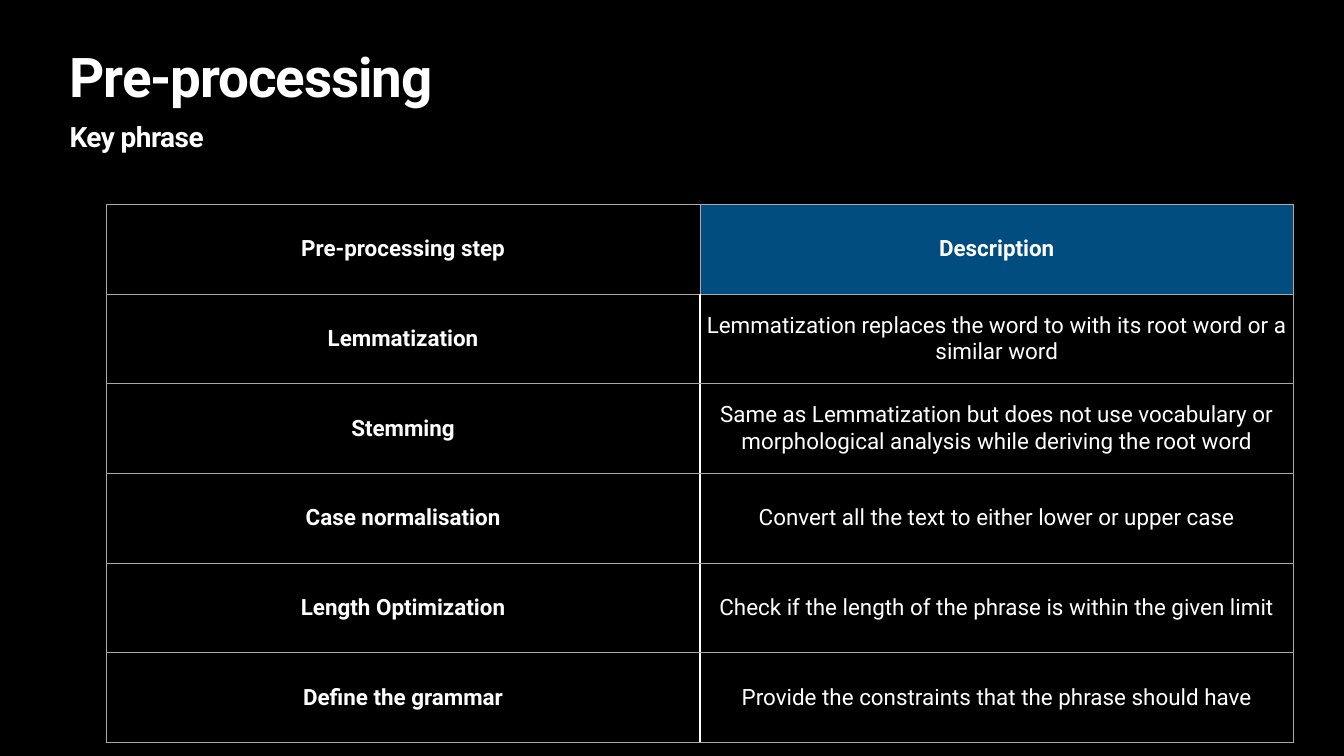
from pptx import Presentation
from pptx.dml.color import RGBColor
from pptx.enum.text import MSO_ANCHOR, PP_ALIGN
from pptx.oxml import parse_xml
from pptx.oxml.ns import nsdecls
from pptx.util import Inches, Pt

COLORS = {"bg": "000000", "text": "FFFFFF", "header": "014D80", "grid": "A9A9A9"}
INSET = Inches(0.06)

prs = Presentation()
prs.slide_width, prs.slide_height = Inches(26.67), Inches(15)
s = prs.slides.add_slide(prs.slide_layouts[6])
s.background.fill.solid()
s.background.fill.fore_color.rgb = RGBColor.from_string(COLORS["bg"])


def style_text(p, size, bold):
    f = p.runs[0].font
    f.name, f.size, f.bold = "Roboto", Pt(size), bold
    f.color.rgb = RGBColor.from_string(COLORS["text"])


def add_border(cell, side, color, width):
    cell._tc.get_or_add_tcPr().append(parse_xml(
        f'<a:ln{side} {nsdecls("a")} w="{Pt(width)}"><a:solidFill>'
        f'<a:srgbClr val="{color}"/></a:solidFill></a:ln{side}>'))


headings = [
    ("Pre-processing", 1.04, 23.56, 1.41, 78.2, -160),
    ("Key phrase", 2.44, 19.18, 0.78, 40, -80),
]
for text, top, width, height, size, spacing in headings:
    sp = s.shapes.add_textbox(Inches(1.32), Inches(top), Inches(width), Inches(height))
    tf = sp.text_frame
    tf.word_wrap = True
    tf.margin_left = tf.margin_right = tf.margin_top = tf.margin_bottom = INSET
    tf.text = text
    p = tf.paragraphs[0]
    p.line_spacing = 0.8
    style_text(p, size, True)
    p.runs[0].font._element.set("spc", str(spacing))

steps = [
    ("Pre-processing step", "Description"),
    ("Lemmatization", "Lemmatization replaces the word to with its root word or a similar word"),
    ("Stemming", "Same as Lemmatization but does not use vocabulary or morphological "
                 "analysis while deriving the root word"),
    ("Case normalisation", "Convert all the text to either lower or upper case"),
    ("Length Optimization", "Check if the length of the phrase is within the given limit"),
    ("Define the grammar", "Provide the constraints that the phrase should have"),
]
table = s.shapes.add_table(len(steps), 2, Inches(2.11), Inches(4.05),
                           Inches(23.56), Inches(10.68)).table
table.first_row = table.horz_banding = False

for row, texts in enumerate(steps):
    for col, text in enumerate(texts):
        cell = table.cell(row, col)
        cell.text = text
        cell.vertical_anchor = MSO_ANCHOR.MIDDLE
        cell.margin_left = cell.margin_right = cell.margin_top = cell.margin_bottom = INSET
        p = cell.text_frame.paragraphs[0]
        p.alignment = PP_ALIGN.CENTER
        style_text(p, 32, row == 0 or col == 0)
        for side in "LRTB":
            divider = row > 0 and (col, side) in [(0, "R"), (1, "L")]
            add_border(cell, side, COLORS["text" if divider else "grid"], 2 if divider else 1)
        cell.fill.solid()
        fill = COLORS["header" if (row, col) == (0, 1) else "bg"]
        cell.fill.fore_color.rgb = RGBColor.from_string(fill)

prs.save("out.pptx")
